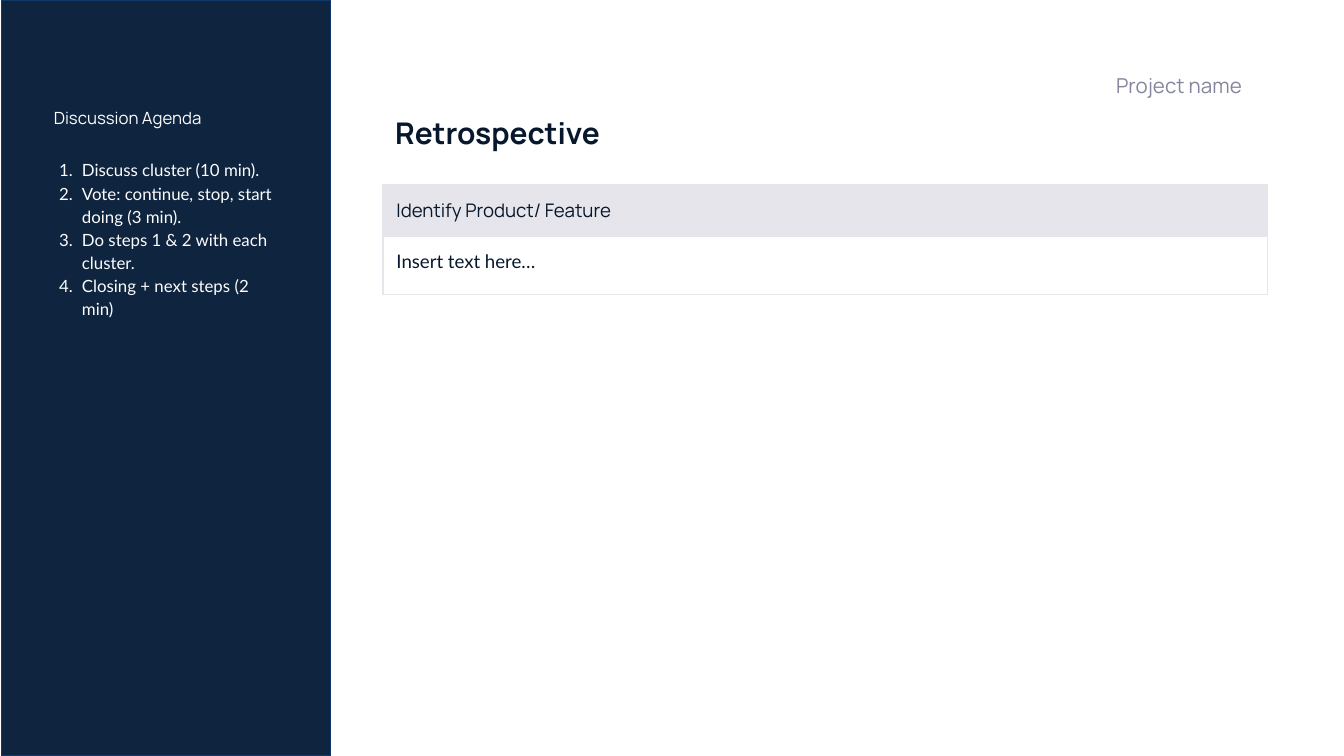
"""Build a retrospective slide with an agenda sidebar and a feature table."""
from lxml.etree import SubElement
from pptx import Presentation
from pptx.dml.color import RGBColor
from pptx.enum.shapes import MSO_SHAPE
from pptx.enum.text import MSO_ANCHOR, MSO_AUTO_SIZE, PP_ALIGN
from pptx.oxml.ns import qn
from pptx.util import Inches, Pt

COLORS = {"navy": "0F243E", "edge": "103869", "light": "FCFCFC",
          "ink": "07182C", "muted": "85859F", "grey": "E5E5EB"}
WIDTH = 10
HEIGHT = WIDTH * 9 / 16

TITLE = {"lines": ["Retrospective"], "size": 16, "font": "Manrope",
         "color": "ink", "bold": True}
PROJECT = {"lines": ["Project name"], "size": 11, "font": "Manrope",
           "color": "muted", "align": PP_ALIGN.RIGHT}
AGENDA = {
    "place": (0.2, 0.69), "columns": (0.62, 0.64, 0.79), "rows": (0.38, 1.39),
    "margins": (0.2, 0.1), "border": None,
    "blocks": [
        {"span": (0, 0), "fill": "navy", "lines": ["Discussion Agenda"],
         "size": 9, "font": "Manrope", "color": "light"},
        {"span": (1, 1), "fill": "navy", "size": 9, "font": "Lato",
         "color": "light", "numbered": True, "spacing": 1.15,
         "lines": ["Discuss cluster (10 min).",
                   "Vote: continue, stop, start doing (3 min).",
                   "Do steps 1 & 2 with each cluster.",
                   "Closing + next steps (2 min)"]},
    ],
}
FEATURE = {
    "place": (2.85, 1.37), "columns": (1.82, 1.96, 2.8),
    "rows": (0.39, 0.19, 0.19, 0.05), "margins": (0.1, 0.1), "border": "grey",
    "blocks": [
        {"span": (0, 0), "fill": "grey", "lines": ["Identify Product/ Feature"],
         "size": 10, "font": "Manrope", "color": "ink",
         "anchor": MSO_ANCHOR.MIDDLE},
        {"span": (1, 3), "fill": None, "lines": ["Insert text here…"],
         "size": 10, "font": "Lato", "color": "ink"},
    ],
}


def color(name):
    return RGBColor.from_string(COLORS[name])


def set_fill(fill, name):
    if name:
        fill.solid()
        fill.fore_color.rgb = color(name)
    else:
        fill.background()


def number_paragraph(paragraph):
    properties = paragraph._p.get_or_add_pPr()
    properties.set("marL", str(Inches(0.21)))
    properties.set("indent", str(-Inches(0.17)))
    bullet_color = SubElement(properties, qn("a:buClr"))
    SubElement(bullet_color, qn("a:srgbClr"), val=COLORS["light"])
    SubElement(properties, qn("a:buFont"), typeface="Lato")
    SubElement(properties, qn("a:buAutoNum"), type="arabicPeriod")


def write_text(frame, block):
    for index, line in enumerate(block["lines"]):
        paragraph = frame.add_paragraph() if index else frame.paragraphs[0]
        paragraph.alignment = block.get("align", PP_ALIGN.LEFT)
        paragraph.line_spacing = block.get("spacing", 1.0)
        if block.get("numbered"):
            number_paragraph(paragraph)
        run = paragraph.add_run()
        run.text = line
        formats = {"size": Pt(block["size"]), "name": block["font"],
                   "bold": block.get("bold", False)}
        for name, value in formats.items():
            setattr(run.font, name, value)
        run.font.color.rgb = color(block["color"])


def format_frame(shape, place, anchor, bottom):
    for name, value in zip(("left", "top", "width", "height"), place):
        setattr(shape, name, Inches(value))
    formats = {"word_wrap": True, "auto_size": MSO_AUTO_SIZE.NONE,
               "vertical_anchor": anchor, "margin_left": Inches(0.1),
               "margin_right": Inches(0.1), "margin_top": Inches(0.1),
               "margin_bottom": Inches(bottom)}
    for name, value in formats.items():
        setattr(shape.text_frame, name, value)


def set_borders(cell, name):
    properties = cell._tc.get_or_add_tcPr()
    for side in ("lnL", "lnR", "lnT", "lnB"):
        line = SubElement(properties, qn(f"a:{side}"), w=str(Pt(0.75)))
        if name:
            solid = SubElement(line, qn("a:solidFill"))
            SubElement(solid, qn("a:srgbClr"), val=COLORS[name])
        else:
            SubElement(line, qn("a:noFill"))


def add_block_table(slide, content):
    columns, rows = content["columns"], content["rows"]
    lengths = (*content["place"], sum(columns), sum(rows))
    table = slide.shapes.add_table(
        len(rows), len(columns), *map(Inches, lengths)).table
    table.first_row = table.horz_banding = False
    for column, width in zip(table.columns, columns):
        column.width = Inches(width)
    for row, height in zip(table.rows, rows):
        row.height = Inches(height)
    side, end = map(Inches, content["margins"])
    for block in content["blocks"]:
        first, last = block["span"]
        origin = table.cell(first, 0)
        origin.merge(table.cell(last, len(columns) - 1))
        for row in range(first, last + 1):
            for column in range(len(columns)):
                cell = table.cell(row, column)
                cell.margin_left = cell.margin_right = side
                cell.margin_top = cell.margin_bottom = end
                set_borders(cell, content["border"])
                set_fill(cell.fill, block["fill"])
        origin.vertical_anchor = block.get("anchor", MSO_ANCHOR.TOP)
        write_text(origin.text_frame, block)


def main():
    presentation = Presentation()
    presentation.slide_width = Inches(WIDTH)
    presentation.slide_height = Inches(HEIGHT)
    slide = presentation.slides.add_slide(presentation.slide_layouts[5])

    sidebar = slide.shapes.add_shape(
        MSO_SHAPE.RECTANGLE, *map(Inches, (0.01, 0, 2.45, HEIGHT)))
    sidebar.shadow.inherit = False
    set_fill(sidebar.fill, "navy")
    sidebar.line.color.rgb = color("edge")
    sidebar.line.width = Pt(0.75)

    add_block_table(slide, AGENDA)

    title = slide.shapes.title
    format_frame(title, (2.84, 0.75, 6.36, 0.47), MSO_ANCHOR.TOP, 0.1)
    write_text(title.text_frame, TITLE)

    project = slide.shapes.add_textbox(0, 0, 0, 0)
    format_frame(project, (5, 0.46, 4.34, 0.33), MSO_ANCHOR.BOTTOM, 0.06)
    write_text(project.text_frame, PROJECT)

    add_block_table(slide, FEATURE)
    presentation.save("out.pptx")


if __name__ == "__main__":
    main()
